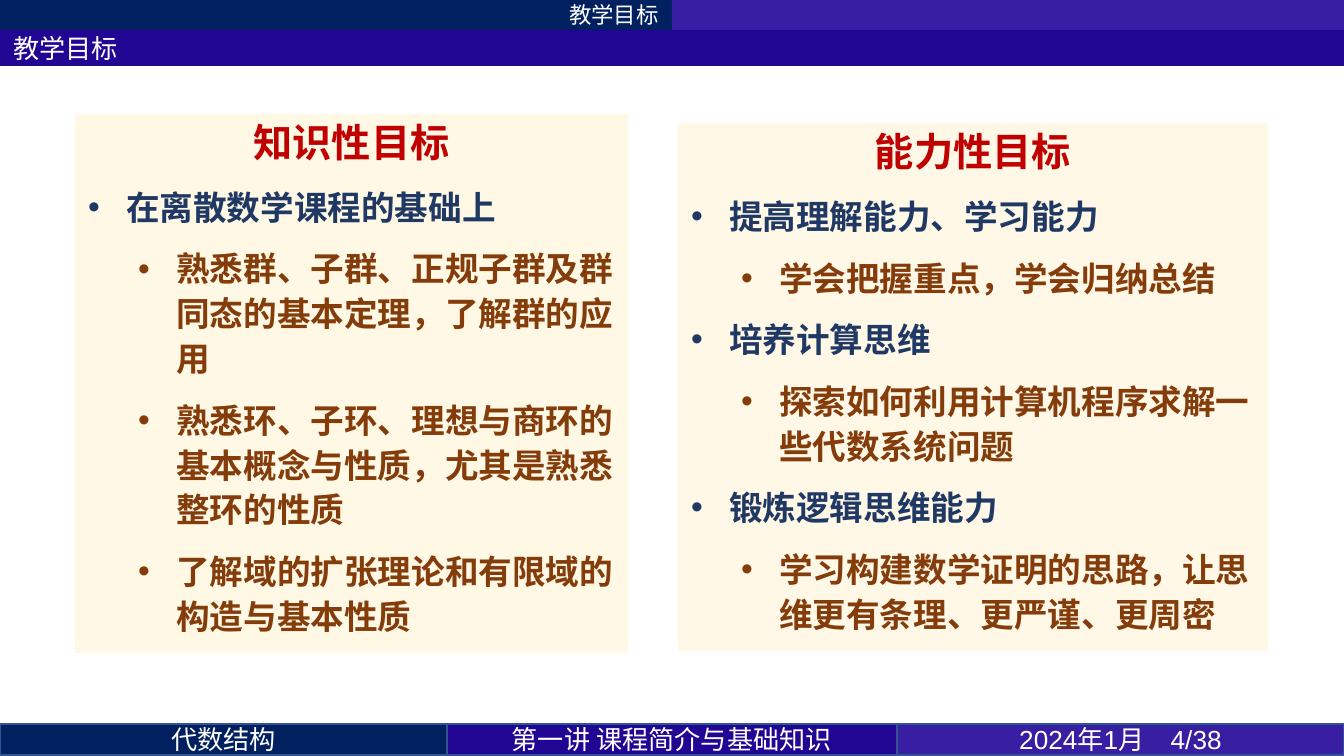
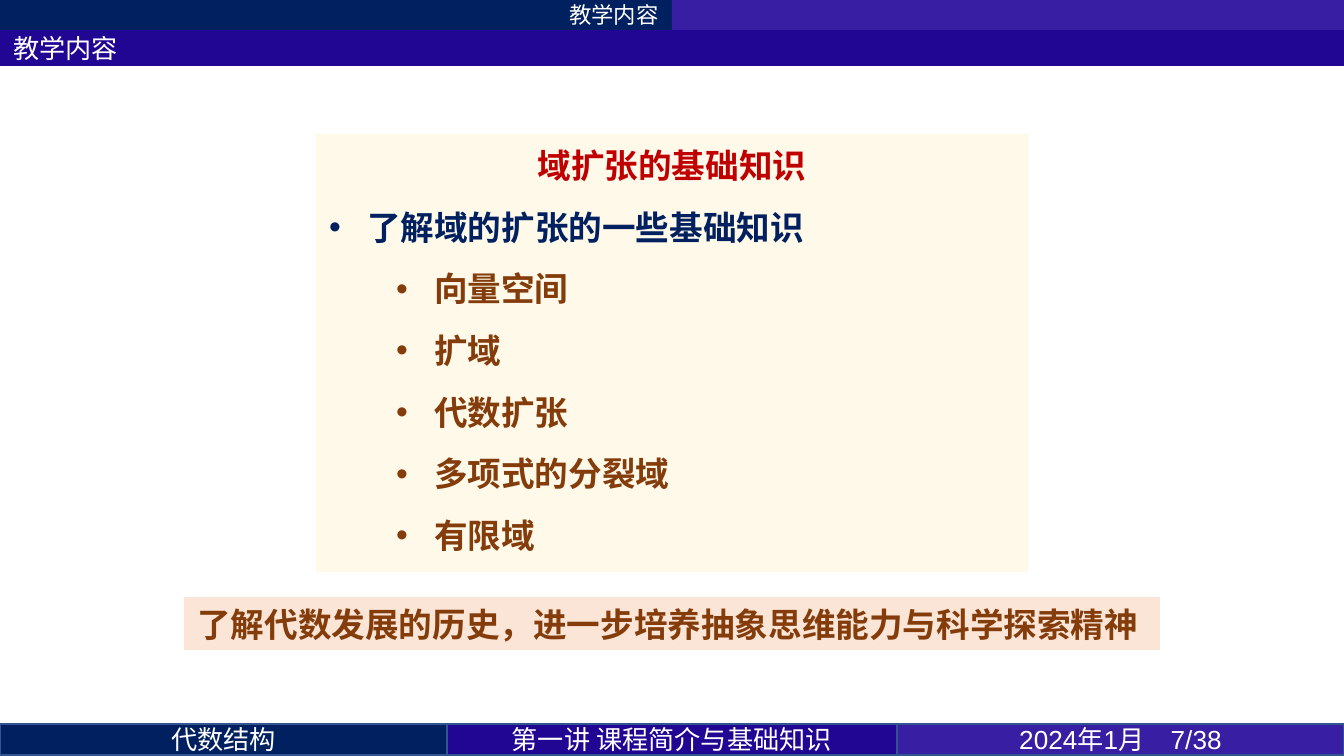
from itertools import accumulate
from lxml.etree import SubElement
from pptx import Presentation
from pptx.dml.color import RGBColor
from pptx.enum.shapes import MSO_SHAPE as Shape
from pptx.enum.text import MSO_ANCHOR as Anchor, MSO_AUTO_SIZE as AutoSize, PP_ALIGN as Align
from pptx.oxml.ns import qn
from pptx.util import Emu, Pt

COLORS = {
    "navy": "002060", "indigo": "210694", "violet": "371EA2", "edge": "325491",
    "white": "FFFFFF", "cream": "FFF2CC", "peach": "FBE5D6",
    "heading": "C00000", "topic": "203864", "detail": "843C0B",
}
CJK, LATIN, DIGITS = "Noto Sans CJK SC", "Calibri", "Arial"

PAGES = [
    {
        "title": "教学目标", "number": 4,
        "cards": [
            {
                "box": (75, 114, 553, 539), "opacity": 50, "heading": "知识性目标",
                "topics": [("在离散数学课程的基础上", [
                    "熟悉群、子群、正规子群及群同态的基本定理，了解群的应用",
                    "熟悉环、子环、理想与商环的基本概念与性质，尤其是熟悉整环的性质",
                    "了解域的扩张理论和有限域的构造与基本性质",
                ])],
            },
            {
                "box": (678, 123, 590, 528), "opacity": 47, "heading": "能力性目标",
                "topics": [
                    ("提高理解能力、学习能力", ["学会把握重点，学会归纳总结"]),
                    ("培养计算思维", ["探索如何利用计算机程序求解一些代数系统问题"]),
                    ("锻炼逻辑思维能力", ["学习构建数学证明的思路，让思维更有条理、更严谨、更周密"]),
                ],
            },
        ],
    },
    {
        "title": "教学内容", "number": 7,
        "cards": [{
            "box": (316, 134, 712, 438), "opacity": 40, "heading": "域扩张的基础知识",
            "heading_size": 18, "topic_color": "navy", "detail_indent": 105,
            "topics": [("了解域的扩张的一些基础知识",
                        ["向量空间", "扩域", "代数扩张", "多项式的分裂域", "有限域"])],
        }],
        "remark": "了解代数发展的历史，进一步培养抽象思维能力与科学探索精神",
    },
]
PAGE_COUNT = 38
FOOTERS = [
    ("代数结构", 447, "navy", CJK),
    ("第一讲 课程简介与基础知识", 450, "indigo", CJK),
    ("2024年1月　{number}/{count}", 447, "violet", DIGITS),
]
WIDTH, HEIGHT = 1344, 756
TOP_HEIGHT, TITLE_HEIGHT, FOOTER_TOP, FOOTER_HEIGHT = 30, 36, 724, 31
REMARK_BOX = (184, 597, 976, 53)
HANGING, DETAIL_INDENT = 38, 88
CARD_SPACING = {"line_spacing": Pt(24), "space_before": Pt(4.5), "space_after": Pt(4.5)}
REMARK_SPACING = {"line_spacing": Pt(22), "space_before": Pt(3), "space_after": Pt(6)}
BAND_FRAME = {"vertical_anchor": Anchor.MIDDLE, "margin_top": 0, "margin_bottom": 0,
              "auto_size": AutoSize.NONE, "word_wrap": True}
CARD_FRAME = {"vertical_anchor": Anchor.TOP, "auto_size": AutoSize.SHAPE_TO_FIT_TEXT,
              "word_wrap": True}


def px(length):
    return Emu(round(length * 914400 / 134.4))


def assign(target, values):
    for name, value in values.items():
        setattr(target, name, value)


def color(name):
    return RGBColor.from_string(COLORS[name])


def paint(shape, fill, opacity=100):
    shape.fill.solid()
    shape.fill.fore_color.rgb = color(fill)
    if opacity < 100:
        tint = shape.fill._xPr.find(qn("a:solidFill"))[0]
        SubElement(tint, qn("a:alpha"), val=str(opacity * 1000))


def add_box(page, box, fill, opacity=100, edge=None):
    shape = page.shapes.add_shape(Shape.RECTANGLE, *map(px, box))
    shape.shadow.inherit = False
    paint(shape, fill, opacity)
    if edge:
        shape.line.color.rgb = color(edge)
        shape.line.width = Pt(1)
    else:
        shape.line.fill.background()
    return shape


def write(para, text, size, font, tone="white", bold=False, align=Align.LEFT, **spacing):
    assign(para, {"alignment": align, **spacing})
    span = para.add_run()
    span.text = text
    assign(span.font, {"size": Pt(size), "name": font, "bold": bold})
    span.font.color.rgb = color(tone)
    SubElement(span.font._element, qn("a:ea"), typeface=CJK)


def add_bullet(para, indent):
    props = para._p.get_or_add_pPr()
    props.set("marL", str(px(indent)))
    props.set("indent", str(-px(HANGING)))
    SubElement(props, qn("a:buFont"), typeface=DIGITS)
    SubElement(props, qn("a:buChar"), char="•")


def fill_band(shape, text, size, font, align):
    assign(shape.text_frame, BAND_FRAME)
    write(shape.text_frame.paragraphs[0], text, size, font, align=align)


def add_frame(page, title, number):
    half = WIDTH // 2
    section = add_box(page, (0, 0, half, TOP_HEIGHT), "navy")
    fill_band(section, title, 12, CJK, Align.RIGHT)
    add_box(page, (half, 0, half, TOP_HEIGHT), "violet")

    heading = page.shapes.title
    places = map(px, (0, TOP_HEIGHT, WIDTH, TITLE_HEIGHT))
    assign(heading, dict(zip(("left", "top", "width", "height"), places)))
    paint(heading, "indigo")
    fill_band(heading, title, 14, LATIN, Align.LEFT)

    lefts = accumulate((width for _, width, _, _ in FOOTERS), initial=0)
    for left, (text, width, fill, font) in zip(lefts, FOOTERS):
        footer = add_box(page, (left, FOOTER_TOP, width, FOOTER_HEIGHT), fill, edge="edge")
        label = text.format(number=number, count=PAGE_COUNT)
        fill_band(footer, label, 14, font, Align.CENTER)


def add_card(page, box, opacity, heading, topics, heading_size=21,
             topic_color="topic", detail_indent=DETAIL_INDENT):
    frame = add_box(page, box, "cream", opacity).text_frame
    assign(frame, CARD_FRAME)
    write(frame.paragraphs[0], heading, heading_size, LATIN, "heading", True,
          Align.CENTER, **CARD_SPACING)
    for topic, details in topics:
        rows = [(topic, 0, LATIN, topic_color, HANGING)]
        rows += [(detail, 1, CJK, "detail", detail_indent) for detail in details]
        for text, level, font, tone, indent in rows:
            para = frame.add_paragraph()
            write(para, text, 18, font, tone, True, level=level, **CARD_SPACING)
            add_bullet(para, indent)


def add_remark(page, text):
    frame = add_box(page, REMARK_BOX, "peach").text_frame
    assign(frame, CARD_FRAME)
    write(frame.paragraphs[0], text, 18, CJK, "detail", True, **REMARK_SPACING)


def main():
    deck = Presentation()
    assign(deck, {"slide_width": px(WIDTH), "slide_height": px(HEIGHT)})
    for content in PAGES:
        page = deck.slides.add_slide(deck.slide_layouts[5])
        add_frame(page, content["title"], content["number"])
        for card in content["cards"]:
            add_card(page, **card)
        if "remark" in content:
            add_remark(page, content["remark"])
    deck.save("out.pptx")


if __name__ == "__main__":
    main()
